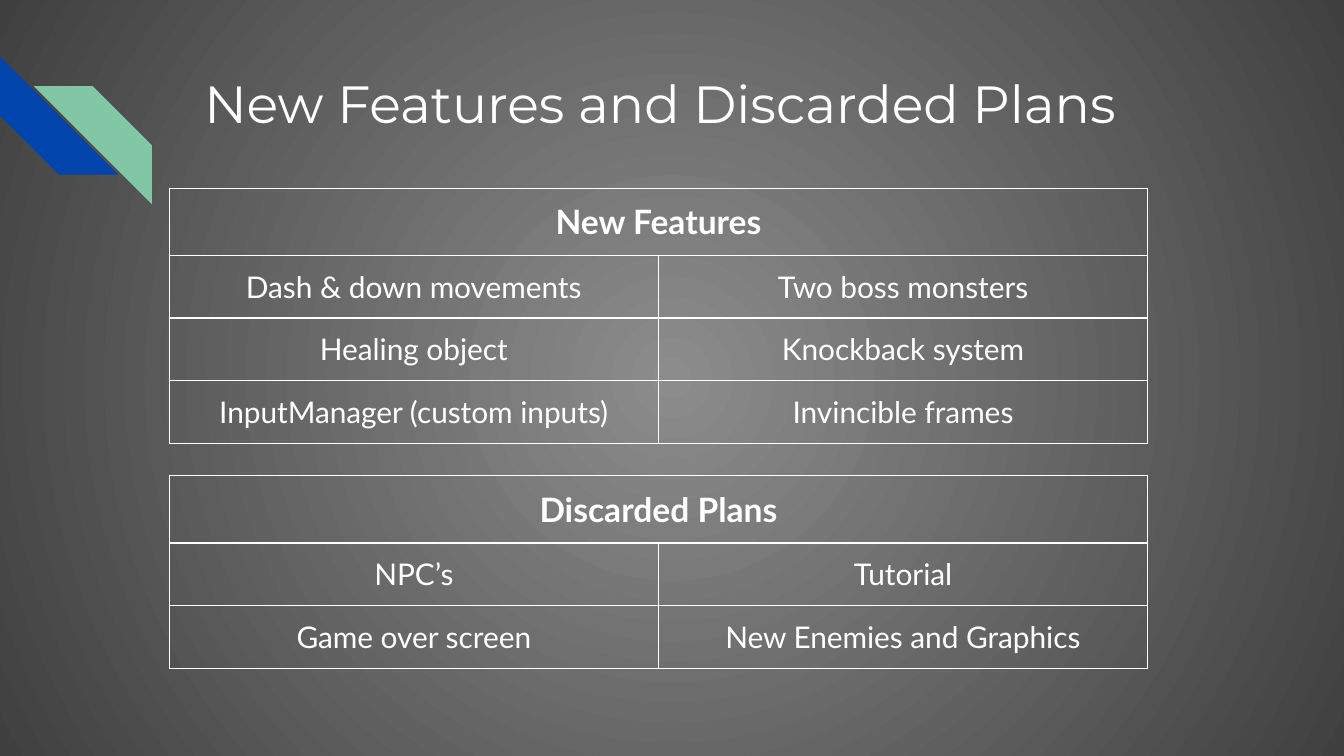
from lxml.etree import SubElement
from pptx import Presentation
from pptx.dml.color import RGBColor
from pptx.enum.shapes import MSO_SHAPE as Shape
from pptx.enum.text import MSO_ANCHOR as Anchor, PP_ALIGN as Align
from pptx.oxml import parse_xml
from pptx.oxml.ns import nsdecls, qn
from pptx.util import Inches, Pt

TITLE = "New Features and Discarded Plans"
TABLES = [
    (1.4, "New Features", [
        ("Dash & down movements", "Two boss monsters"),
        ("Healing object", "Knockback system"),
        ("InputManager (custom inputs)", "Invincible frames"),
    ]),
    (3.54, "Discarded Plans", [
        ("NPC’s", "Tutorial"),
        ("Game over screen", "New Enemies and Graphics"),
    ]),
]
STRIPES = [
    (0, 0.42, "0145AC", 270, False),
    (0.25, 0.64, "82C7A5", 0, True),
]
WHITE = "FFFFFF"
GRADIENT = ("8C8C8C", "404040")
TITLE_FONT = {"name": "Montserrat", "size": Pt(28), "bold": False}
HEAD_FONT = {"name": "Lato", "size": Pt(18), "bold": True}
BODY_FONT = {"name": "Lato", "size": Pt(16), "bold": False}
MARGINS = {"margin_" + side: Inches(0.1) for side in ("left", "right", "top", "bottom")}
SLIDE_WIDTH = 10
SLIDE_HEIGHT = SLIDE_WIDTH * 9 / 16
STRIPE_SIZE = 0.88
TABLE_LEFT, COLUMN_WIDTH, ROW_HEIGHT = 1.26, 3.64, 0.43


def color(hex_value):
    """Turn a hex string into a colour."""
    return RGBColor.from_string(hex_value)


def apply(target, values):
    """Set every attribute in a dict of format values."""
    for name, value in values.items():
        setattr(target, name, value)


def write(frame, text, font, align):
    """Put one formatted white line of text into a frame."""
    para = frame.paragraphs[0]
    para.alignment = align
    span = para.add_run()
    span.text = text
    apply(span.font, font)
    span.font.color.rgb = color(WHITE)


def paint_background(page):
    """Fill the page with a gradient that spreads from its centre."""
    fill = page.background.fill
    fill.gradient()
    for stop, shade in zip(fill.gradient_stops, GRADIENT):
        stop.color.rgb = color(shade)
    linear = next(page.element.iter(qn("a:lin")))
    linear.getparent().replace(linear, parse_xml(
        f'<a:path {nsdecls("a")} path="circle">'
        '<a:fillToRect l="50000" t="50000" r="50000" b="50000"/></a:path>'))


def add_stripe(page, left, top, shade, rotation, flipped):
    """Add one diagonal corner stripe."""
    size = Inches(STRIPE_SIZE)
    stripe = page.shapes.add_shape(Shape.DIAGONAL_STRIPE, Inches(left), Inches(top), size, size)
    stripe.adjustments[0] = 0.5
    stripe.rotation = rotation
    stripe.shadow.inherit = False
    stripe.fill.solid()
    stripe.fill.fore_color.rgb = color(shade)
    stripe.line.fill.background()
    if flipped:
        stripe.element.spPr.find(qn("a:xfrm")).set("flipH", "1")


def add_title(page):
    """Move and fill the title placeholder."""
    title = page.shapes.title
    apply(title, {"left": Inches(1.42), "top": Inches(0.43),
                  "width": Inches(7.7), "height": Inches(1)})
    apply(title.text_frame, {**MARGINS, "word_wrap": True, "vertical_anchor": Anchor.TOP})
    write(title.text_frame, TITLE, TITLE_FONT, Align.LEFT)


def format_cell(cell):
    """Give a cell thin white borders, even margins and no fill."""
    properties = cell._tc.get_or_add_tcPr()
    for side in "LRTB":
        border = SubElement(properties, qn("a:ln" + side), w=str(Pt(0.75)))
        SubElement(SubElement(border, qn("a:solidFill")), qn("a:srgbClr"), val=WHITE)
    cell.fill.background()
    apply(cell, {**MARGINS, "vertical_anchor": Anchor.TOP})


def add_grid(page, top, heading, rows):
    """Add a table with a merged heading above its rows."""
    count, columns = len(rows) + 1, len(rows[0])
    table = page.shapes.add_table(
        count, columns, Inches(TABLE_LEFT), Inches(top),
        Inches(COLUMN_WIDTH * columns), Inches(ROW_HEIGHT * count)).table
    apply(table, {"first_row": False, "horz_banding": False})
    for cell in table.iter_cells():
        format_cell(cell)
    table.cell(0, 0).merge(table.cell(0, columns - 1))
    write(table.cell(0, 0).text_frame, heading, HEAD_FONT, Align.CENTER)
    for row, texts in enumerate(rows, 1):
        for column, text in enumerate(texts):
            write(table.cell(row, column).text_frame, text, BODY_FONT, Align.CENTER)


def main():
    """Build and save the slide."""
    deck = Presentation()
    apply(deck, {"slide_width": Inches(SLIDE_WIDTH), "slide_height": Inches(SLIDE_HEIGHT)})
    page = deck.slides.add_slide(deck.slide_layouts[5])
    paint_background(page)
    for stripe in STRIPES:
        add_stripe(page, *stripe)
    add_title(page)
    for grid in TABLES:
        add_grid(page, *grid)
    deck.save("out.pptx")


if __name__ == "__main__":
    main()
